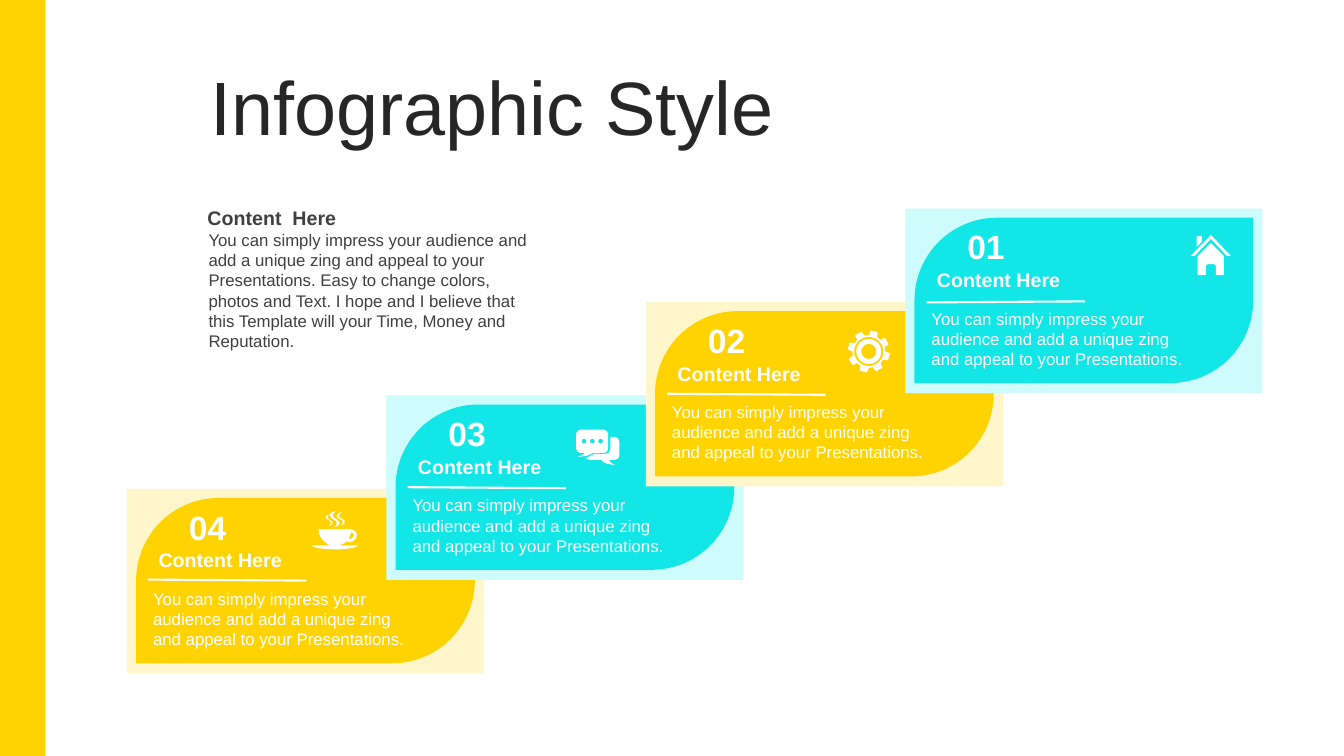
import math

import pptx
import pptx.dml.color
import pptx.enum.shapes
import pptx.enum.text
import pptx.oxml.ns
import pptx.util
from lxml import etree

RGBColor = pptx.dml.color.RGBColor
Inches = pptx.util.Inches
Pt = pptx.util.Pt
qn = pptx.oxml.ns.qn
SHAPE = pptx.enum.shapes.MSO_SHAPE
ALIGN = pptx.enum.text.PP_ALIGN
ANCHOR = pptx.enum.text.MSO_ANCHOR

YELLOW = RGBColor(0xFF, 0xD3, 0x02)
PALE_YELLOW = RGBColor(0xFF, 0xF6, 0xCC)
CYAN = RGBColor(0x12, 0xE6, 0xE6)
PALE_CYAN = RGBColor(0xCE, 0xFB, 0xFB)
WHITE = RGBColor(0xFF, 0xFF, 0xFF)
INK = RGBColor(0x26, 0x26, 0x26)
GREY = RGBColor(0x40, 0x40, 0x40)


def circle(x, y, r):
    """Outline of a circle as four Bezier curves."""
    h = 0.55 * r
    return [(x, y - r),
            (x + h, y - r, x + r, y - h, x + r, y), (x + r, y + h, x + h, y + r, x, y + r),
            (x - h, y + r, x - r, y + h, x - r, y), (x - r, y - h, x - h, y - r, x, y - r)]


def gear_rim(x, y, teeth=8, first_tooth=-75):
    corners = [(-15, 16.3), (-10, 21), (10, 21), (15, 16.3)]
    rim = []
    for tooth in range(teeth):
        for turn, radius in corners:
            angle = math.radians(first_tooth + tooth * 360 / teeth + turn)
            rim.append((x + radius * math.cos(angle), y + radius * math.sin(angle)))
    return rim


# Icon outlines in hundredths of an inch: a pair is a corner,
# six numbers are a Bezier curve (two handles, then its end).
HOUSE = [
    [(20, 8), (33, 21), (33, 40), (25, 40), (25, 31), (25, 30, 24, 29, 22, 29), (18, 29),
     (16, 29, 15, 30, 15, 31), (15, 40), (7, 40), (7, 21)],
    [(6, 1), (11, 1), (11, 7), (6, 12)],
    [(20, 0), (40, 21), (36, 21), (20, 4), (4, 21), (0, 21)],
]
GEAR = [gear_rim(21, 21)] + [circle(21, 21, radius) for radius in (14.5, 12.5, 7.5)]
CHAT = [circle(x, 11.3, 2.4) for x in (8, 16.2, 24.4)] + [
    [(4, 0), (28, 0), (30, 0, 32, 2, 32, 4), (32, 18), (32, 21, 30, 23, 28, 23), (17, 23),
     (12, 26, 10, 26, 2, 27), (6, 25, 7, 25, 9, 23), (4, 23), (2, 23, 0, 21, 0, 18),
     (0, 4), (0, 2, 2, 0, 4, 0)],
    [(34, 7), (38, 7), (41, 7, 43, 9, 43, 12), (43, 26), (43, 28, 41, 30, 38, 30), (33, 30),
     (34, 32, 34, 33, 39, 35), (31, 34, 29, 34, 25, 30), (14, 30), (13, 30, 11, 29, 10, 28),
     (13, 27, 16, 25, 18, 24), (29, 24), (32, 24, 34, 22, 34, 19)],
]
CUP = [
    [(39, 21), (39, 23, 38, 25, 37, 27), (38, 28, 39, 28, 40, 27), (41, 26, 42, 25, 42, 23),
     (42, 22, 40, 21, 39, 21)],
    [(39, 18), (42, 18, 44, 20, 45, 23), (45, 26, 44, 29, 41, 30), (39, 31, 37, 31, 35, 30),
     (34, 31, 33, 32, 32, 32), (31, 33, 29, 33, 28, 34), (46, 34), (46, 36, 36, 38, 23, 38),
     (11, 38, 0, 36, 0, 34), (18, 34), (17, 33, 16, 33, 15, 32), (10, 29, 7, 24, 7, 18)],
    [(19, 3), (17, 4, 16, 4, 16, 6), (16, 9, 21, 9, 21, 12), (20, 14, 19, 14, 17, 15),
     (19, 14, 19, 13, 19, 11), (19, 9, 15, 9, 14, 7), (13, 5, 15, 4, 19, 3)],
    [(30, 1), (28, 3, 27, 3, 27, 5), (28, 8, 34, 8, 33, 11), (32, 13, 31, 14, 28, 15),
     (30, 14, 31, 13, 31, 11), (31, 8, 27, 8, 25, 6), (24, 4, 26, 2, 30, 1)],
    [(25, 0), (22, 2, 21, 2, 21, 4), (21, 8, 28, 8, 28, 12), (27, 15, 26, 15, 22, 16),
     (25, 15, 25, 14, 25, 12), (25, 9, 20, 8, 19, 6), (17, 3, 19, 1, 25, 0)],
]

TITLE = "Infographic Style"
INTRO_HEADING = "Content  Here"
INTRO = ("You can simply impress your audience and add a unique zing and appeal to your "
         "Presentations. Easy to change colors, photos and Text. I hope and I believe that "
         "this Template will your Time, Money and Reputation.")
CARD_HEADING = "Content Here"
CARD_TEXT = ("You can simply impress your audience and add a unique zing "
             "and appeal to your Presentations.")
# number, colour, backing colour, icon, icon offset in the card, rule's start and end heights
CARDS = [
    ("04", YELLOW, PALE_YELLOW, CUP, (1.83, 0.22), (0.9, 0.91)),
    ("03", CYAN, PALE_CYAN, CHAT, (1.88, 0.34), (0.91, 0.92)),
    ("02", YELLOW, PALE_YELLOW, GEAR, (2, 0.28), (0.91, 0.92)),
    ("01", CYAN, PALE_CYAN, HOUSE, (2.83, 0.26), (0.93, 0.92)),
]
FIRST_CARD = (1.26, 4.85)
LAST_CARD = (8.98, 2.07)
CARD_SIZE = (3.54, 1.83)
FACE_SIZE = (3.36, 1.64)
FACE_MARGIN = 0.09


def add_text(slide, text, left, top, width, height, *, size, color, bold=False,
             align=ALIGN.LEFT, anchor=ANCHOR.TOP, inset=None, before=0, spacing=None):
    box = slide.shapes.add_textbox(*map(Inches, (left, top, width, height)))
    frame = box.text_frame
    frame.word_wrap = True
    frame.vertical_anchor = anchor
    if inset is not None:
        frame.margin_left = frame.margin_right = Inches(inset)
        frame.margin_top = frame.margin_bottom = Inches(inset)
    line = frame.paragraphs[0]
    line.alignment = align
    line.space_before = Pt(before)
    line.line_spacing = spacing
    run = line.add_run()
    run.text = text
    run.font.name = "Arial"
    run.font.size = Pt(size)
    run.font.bold = bold
    run.font.color.rgb = color


def paint(shape, color):
    shape.shadow.inherit = False
    shape.fill.solid()
    shape.fill.fore_color.rgb = color
    shape.line.fill.background()


def add_panel(slide, left, top, width, height, color, rounding):
    panel = slide.shapes.add_shape(SHAPE.ROUND_2_DIAG_RECTANGLE,
                                   *map(Inches, (left, top, width, height)))
    panel.adjustments[0] = rounding
    panel.adjustments[1] = 0
    paint(panel, color)


def add_rule(slide, x1, y1, x2, y2):
    rule = slide.shapes.add_connector(pptx.enum.shapes.MSO_CONNECTOR.STRAIGHT,
                                      *map(Inches, (x1, y1, x2, y2)))
    rule.line.color.rgb = WHITE
    rule.line.width = Pt(1.5)
    etree.SubElement(rule._element.spPr, qn("a:effectLst"))


def add_icon(slide, outlines, left, top):
    """Draw the outlines as one freeform, then bend its lines into the Bezier curves."""
    def place(x, y):
        return Inches(left + x / 100), Inches(top + y / 100)

    builder = slide.shapes.build_freeform(*place(*outlines[0][0]))
    for number, outline in enumerate(outlines):
        if number:
            builder.move_to(*place(*outline[0]))
        builder.add_line_segments([place(*node[-2:]) for node in outline[1:]], close=True)
    icon = builder.convert_to_shape()
    paint(icon, WHITE)

    nodes = [node for outline in outlines for node in outline[1:]]
    lines = list(icon._element.iter(qn("a:lnTo")))
    for node, line in zip(nodes, lines):
        if len(node) == 2:
            continue
        curve = etree.Element(qn("a:cubicBezTo"))
        for i in (0, 2, 4):
            x, y = place(*node[i:i + 2])
            etree.SubElement(curve, qn("a:pt"), x=str(x - icon.left), y=str(y - icon.top))
        line.getparent().replace(line, curve)


def main():
    deck = pptx.Presentation()
    deck.slide_width, deck.slide_height = Inches(13.33), Inches(7.5)
    slide = deck.slides.add_slide(deck.slide_layouts[6])

    side_band = slide.shapes.add_shape(SHAPE.RECTANGLE, 0, 0, Inches(0.45), deck.slide_height)
    paint(side_band, YELLOW)
    add_text(slide, TITLE, 1.99, 0.71, 10.93, 0.79, size=54, color=INK,
             anchor=ANCHOR.MIDDLE, before=10, spacing=0.9)
    add_text(slide, INTRO_HEADING, 1.96, 1.99, 3.46, 0.34, size=14, color=GREY, bold=True,
             anchor=ANCHOR.MIDDLE)
    add_text(slide, INTRO, 1.97, 2.23, 3.44, 1.31, size=12, color=GREY)

    for place, (number, color, backing, icon, (icon_x, icon_y), (start, end)) in enumerate(CARDS):
        share = place / (len(CARDS) - 1)
        left, top = (a + share * (b - a) for a, b in zip(FIRST_CARD, LAST_CARD))
        add_panel(slide, left, top, *CARD_SIZE, backing, 0)
        add_panel(slide, left + FACE_MARGIN, top + FACE_MARGIN, *FACE_SIZE, color, 0.5)
        add_text(slide, number, left + 0.5, top + 0.15, 0.6, 0.45, size=24, color=WHITE,
                 bold=True, align=ALIGN.CENTER, anchor=ANCHOR.MIDDLE, inset=0, before=4.8)
        add_text(slide, CARD_HEADING, left + 0.16, top + 0.54, 1.53, 0.34, size=14,
                 color=WHITE, bold=True, align=ALIGN.CENTER)
        add_text(slide, CARD_TEXT, left + 0.16, top + 0.94, 2.83, 0.71, size=12, color=WHITE)
        add_rule(slide, left + 0.21, top + start, left + 1.78, top + end)
        add_icon(slide, icon, left + icon_x, top + icon_y)

    deck.save("out.pptx")


if __name__ == "__main__":
    main()
